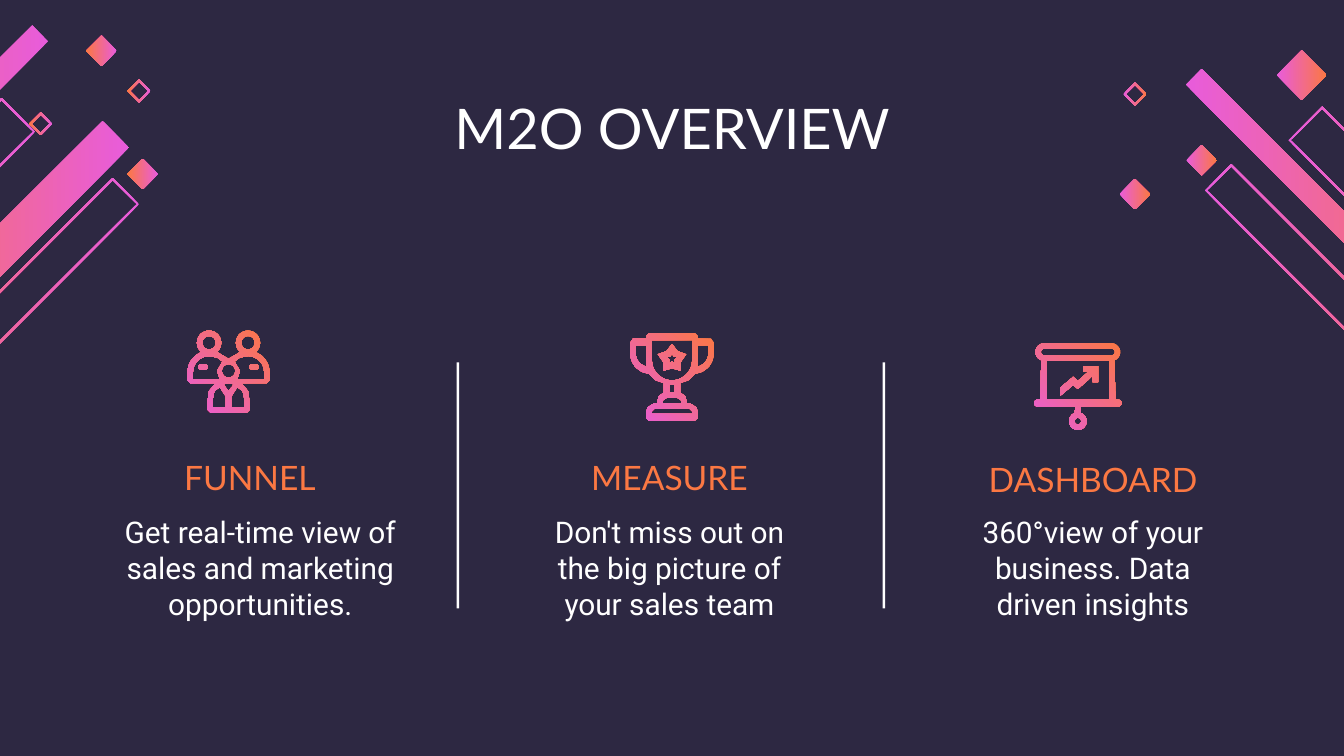
import math

import pptx
import pptx.dml.color
import pptx.enum.shapes
import pptx.enum.text
import pptx.util

Cm = pptx.util.Cm
RGB = pptx.dml.color.RGBColor.from_string


class Theme:
    night = RGB("2D2842")
    white = RGB("FFFFFF")
    orange = RGB("FB7843")
    magenta = RGB("E85CDB")
    heading_style = {"font": "Lato", "size": pptx.util.Pt(18), "color": orange}
    title_style = {"font": "Lato", "size": pptx.util.Pt(30), "color": white}
    body_style = {"font": "Roboto", "size": pptx.util.Pt(16), "color": white}


deck = pptx.Presentation()
deck.slide_width, deck.slide_height = Cm(25.4), Cm(14.29)
slide = deck.slides.add_slide(deck.slide_layouts[6])
slide.background.fill.solid()
slide.background.fill.fore_color.rgb = Theme.night


def add_text(text, left, top, width, height, *, font, size, color, space_after=0):
    box = slide.shapes.add_textbox(Cm(left), Cm(top), Cm(width), Cm(height))
    frame = box.text_frame
    frame.word_wrap = True
    frame.margin_left = frame.margin_right = Cm(0.25)
    frame.margin_top = frame.margin_bottom = Cm(0.25)
    paragraph = frame.paragraphs[0]
    paragraph.alignment = pptx.enum.text.PP_ALIGN.CENTER
    paragraph.space_after = pptx.util.Pt(space_after)
    run = paragraph.add_run()
    run.text = text
    run.font.name, run.font.size, run.font.color.rgb = font, size, color


def add_outline(contours, colors, angle, left=0, top=0, unit=1):
    """Draw closed contours; an item is a point (x, y) or an arc (x, y, r, from, to)."""
    builder = None
    for contour in contours:
        points = []
        for x, y, *arc in contour:
            radius, start, end = arc or (0, 0, 0)
            steps = max(1, math.ceil((end - start) / 10))
            for step in range(steps + 1 if arc else 1):
                turn = math.radians(start + (end - start) * step / steps)
                points.append((Cm(left + (x + radius * math.cos(turn)) * unit),
                               Cm(top + (y + radius * math.sin(turn)) * unit)))
        if builder is None:
            builder = slide.shapes.build_freeform(*points[0], scale=1.0)
        else:
            builder.move_to(*points[0])
        builder.add_line_segments(points[1:], close=True)
    shape = builder.convert_to_shape()
    shape.shadow.inherit = False
    shape.line.fill.background()
    shape.fill.gradient()
    shape.fill.gradient_angle = angle
    for stop, color in zip(shape.fill.gradient_stops, colors):
        stop.color.rgb = color


# Corner ornaments: each kind has a width, a length and a rim (0 is solid)
rim = 0.05
kinds = {
    "thin bar": (0.3, 5.97, 0),
    "thick bar": (0.5, 5.27, 0),
    "hollow bar": (0.5, 5.66, rim),
    "wide hollow bar": (0.64, 4.95, rim),
    "diamond": (0.29, 0.29, 0),
    "big diamond": (0.47, 0.47, 0),
    "hollow diamond": (0.22, 0.22, rim),
}
# Place of each ornament's top corner
right_corner = [
    ("wide hollow bar", 24.99, 2.01), ("thin bar", 22.71, 1.3),
    ("hollow bar", 23.27, 3.1), ("diamond", 22.71, 2.74),
    ("hollow diamond", 21.45, 1.56), ("big diamond", 24.6, 0.95),
    ("diamond", 21.45, 3.38),
]
left_corner = [
    ("thick bar", 1.94, 2.29), ("thin bar", 0.61, 0.48),
    ("hollow bar", 2.13, 3.36), ("diamond", 2.7, 3),
    ("hollow diamond", 2.63, 1.5), ("diamond", 1.92, 0.67),
    ("wide hollow bar", 0.03, 1.85), ("hollow diamond", 0.77, 2.12),
]
# Bars run down at 45 degrees, to the right (side 1) or the left (side -1)
for side, angle, ornaments in ((1, 0, right_corner), (-1, 180, left_corner)):
    for kind, x, y in ornaments:
        width, length, edge = kinds[kind]
        contours = [[(x, y + inset),
                     (x - side * (width - inset), y + width),
                     (x + side * (length - width), y + width + length - inset),
                     (x + side * (length - inset), y + length)]
                    for inset in sorted({0, edge})]
        add_outline(contours, (Theme.magenta, Theme.orange), angle)

# Icons: x counts from the axis of symmetry, in grid cells.
# "across" parts give the right half of a contour that spans the axis;
# "beside" parts are whole and repeat on the other side; "marks" stand alone.
cell = 0.0254
wall = 4
head, shoulder, bowl, knob, roller = 9, 16, 19, 6.5, 6.5   # outer radii

team = {
    "across": {
        "silhouette": [(0, 21), (14.5, 9, head, 130, 410),
                       (14.5, 31, shoulder, -70, 0), (30.5, 37), (28.5, 39),
                       (9.5, 39), (14.5, 45), (15.5, 52), (15.5, 59),
                       (13.5, 61), (0, 61)],
        "front head": [(0, 30, head - wall, -90, 90)],
        "collar": [(0, 39), (4, 40), (0, 45)],
    },
    "beside": {
        "back head": [(14.5, 9, head - wall, 0, 360)],
        "shoulder": [(14.5, 31, shoulder - wall, -90, 0), (26.5, 36), (6.5, 36),
                     (8.5, 30), (4.5, 23), (8.5, 20)],
        "jacket": [(6.5, 42), (10.5, 45), (12, 52), (12, 57), (2, 57), (2, 49)],
        "badge": [(17.5, 27, 2, 90, 270), (20.5, 27, 2, -90, 90)],
    },
    "marks": {},
}

# Five-pointed star: tips and notches alternate every 36 degrees
star, star_opening = (
    [(radii[i % 2] * math.sin(i * math.pi / 5),
      19 - radii[i % 2] * math.cos(i * math.pi / 5)) for i in range(10)]
    for radii in ((11, 7), (4, 2)))
trophy = {
    "across": {
        "silhouette": [(0, 0), (17, 0), (19, 2), (19, 4), (29, 4), (31, 7),
                       (16, 15, 15, 0, 85), (12, 35), (6, 37), (6, 44), (10, 47),
                       (11, 52), (13, 52), (18, 55), (19, 58), (19, 63), (17, 65),
                       (0, 65)],
        "bowl": [(0, 5), (bowl - wall, 5), (0, 20, bowl - wall, 0, 90)],
        "stem": [(0, 38), (2, 38), (2, 44), (0, 44)],
        "foot": [(0, 48), (4, 48), (7, 50), (7, 52), (0, 52)],
        "base": [(0, 56), (13, 56), (15, 58), (15, 60), (0, 60)],
    },
    "beside": {"handle": [(19, 9), (27, 9), (17, 15, 10, 0, 80), (19, 20)]},
    "marks": {"star": star, "star opening": star_opening},
}

# Trend arrow: a ribbon around a zigzag, ending in a corner-shaped head
trend = [(-13, 36), (-3.5, 28), (0, 31), (8, 24)]
half_ribbon = 3
arrow_head = [(4, 21), (4, 17), (15, 17), (15, 29), (11, 29), (11, 24)]
trend_arrow = ([(x, y - half_ribbon) for x, y in trend] + arrow_head
               + [(x, y + half_ribbon) for x, y in reversed(trend)])
board = {
    "across": {
        "silhouette": [(0, 0), (25, 6.5, roller, -90, 70), (28, 42),
                       (30, 44.5, 2.5, -90, 90), (2, 47), (0, 58, knob, -70, 90)],
        "roller": [(0, 4), (25, 6.5, roller - wall, -90, 90), (0, 9)],
        "panel": [(0, 13), (23.5, 13), (23.5, 42), (0, 42)],
        "knob": [(0, 58, knob - wall, -90, 90)],
    },
    "beside": {},
    "marks": {"trend arrow": trend_arrow},
}

for icon, axis, top in ((team, 4.32, 6.25), (trophy, 12.7, 6.3), (board, 20.37, 6.49)):
    contours = []
    for group in ("across", "beside"):
        for part in icon[group].values():
            mirrored = [(-x, y, arc[0], 180 - arc[2], 180 - arc[1]) if arc else (-x, y)
                        for x, y, *arc in reversed(part)]
            contours += [part + mirrored] if group == "across" else [part, mirrored]
    contours += icon["marks"].values()
    add_outline(contours, (Theme.orange, Theme.magenta), 225, axis, top, cell)

# Title
add_text("M2O OVERVIEW", 6.85, 1.52, 11.71, 2.08, **Theme.title_style)

# Columns: heading with left, top, width; then body with left, width, height
columns = [
    ("FUNNEL", 1.93, 8.38, 5.59,
     "Get real-time view of sales and marketing opportunities.", 2.05, 5.74, 3.12),
    ("MEASURE", 9.86, 8.38, 5.59,
     "Don't miss out on the big picture of your sales team", 9.86, 5.59, 2.62),
    ("DASHBOARD", 17.65, 8.43, 6.02,
     "360°view of your business. Data driven insights", 17.91, 5.49, 2.62),
]
for heading, left, top, width, body, body_left, body_width, body_height in columns:
    add_text(heading, left, top, width, 1.32, **Theme.heading_style)
    add_text(body, body_left, 9.46, body_width, body_height,
             **Theme.body_style, space_after=16)

# Dividers between the columns
for left in (8.63, 16.68):
    divider = slide.shapes.add_shape(pptx.enum.shapes.MSO_SHAPE.RECTANGLE,
                                     Cm(left), Cm(6.85), Cm(0.05), Cm(4.65))
    divider.shadow.inherit = False
    divider.fill.solid()
    divider.fill.fore_color.rgb = Theme.white
    divider.line.fill.background()

deck.save("out.pptx")
